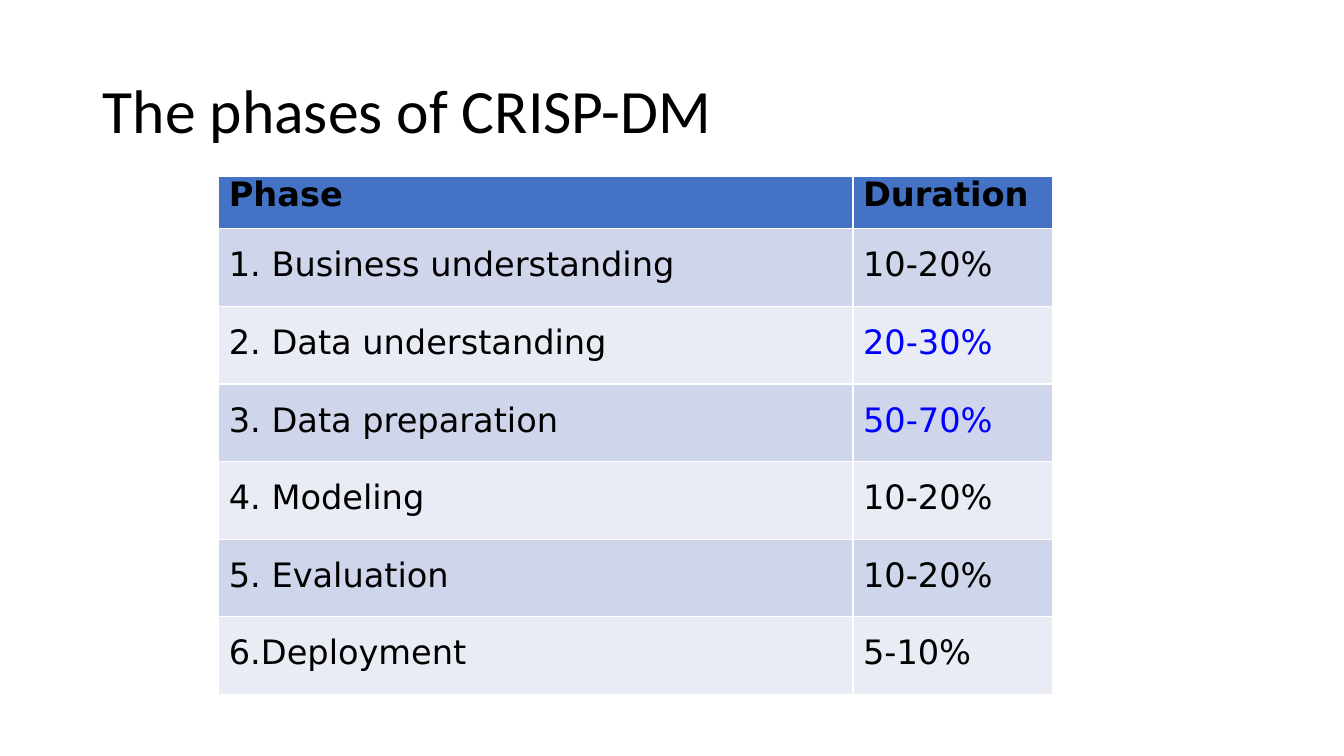
from lxml.etree import SubElement
from pptx import Presentation
from pptx.dml.color import RGBColor
from pptx.enum.text import MSO_ANCHOR, PP_ALIGN
from pptx.oxml.ns import qn
from pptx.util import Pt

PX = 9144  # 100 px to the inch
BLACK = RGBColor(0x00, 0x00, 0x00)
BLUE = RGBColor(0x00, 0x00, 0xFF)
HEADER_FILL = RGBColor(0x44, 0x72, 0xC4)
BAND_FILLS = [RGBColor(0xE9, 0xEB, 0xF5), RGBColor(0xCF, 0xD5, 0xEA)]

PHASES = [
    ("Phase", "Duration"),
    ("1. Business understanding", "10-20%"),
    ("2. Data understanding", "20-30%"),
    ("3. Data preparation", "50-70%"),
    ("4. Modeling", "10-20%"),
    ("5. Evaluation", "10-20%"),
    ("6.Deployment", "5-10%"),
]
LONGEST = {"20-30%", "50-70%"}
COLUMN_WIDTHS = [629, 198]
HEADER_HEIGHT, ROW_HEIGHT = 52, 77


def add_span(para, text, font, size, color, bold=False):
    span = para.add_run()
    span.text = text
    span.font.name = font
    span.font.size = Pt(size)
    span.font.bold = bold
    span.font.color.rgb = color


deck = Presentation()
deck.slide_width, deck.slide_height = 1333 * PX, 750 * PX
page = deck.slides.add_slide(deck.slide_layouts[5])

title = page.shapes.title
title.left, title.top, title.width, title.height = 92 * PX, 40 * PX, 1150 * PX, 145 * PX
title.text_frame.vertical_anchor = MSO_ANCHOR.MIDDLE
para = title.text_frame.paragraphs[0]
para.alignment = PP_ALIGN.LEFT
para.line_spacing = 0.9
add_span(para, "The phases of CRISP-DM", "Calibri", 44, BLACK)

table_height = HEADER_HEIGHT + ROW_HEIGHT * (len(PHASES) - 1)
table = page.shapes.add_table(
    len(PHASES), len(COLUMN_WIDTHS),
    217 * PX, 175 * PX, sum(COLUMN_WIDTHS) * PX, table_height * PX,
).table
for column, width in zip(table.columns, COLUMN_WIDTHS):
    column.width = width * PX

for r, texts in enumerate(PHASES):
    is_header = r == 0
    table.rows[r].height = (HEADER_HEIGHT if is_header else ROW_HEIGHT) * PX
    for c, text in enumerate(texts):
        cell = table.cell(r, c)
        cell.vertical_anchor = MSO_ANCHOR.TOP if is_header else MSO_ANCHOR.MIDDLE
        cell.fill.solid()
        cell.fill.fore_color.rgb = HEADER_FILL if is_header else BAND_FILLS[r % 2]
        para = cell.text_frame.paragraphs[0]
        para.line_spacing = 0.8
        # Space before as a share of the line height
        space_before = SubElement(para._p.get_or_add_pPr(), qn("a:spcBef"))
        SubElement(space_before, qn("a:spcPct"), val="20000")
        color = BLUE if text in LONGEST else BLACK
        add_span(para, text, "DejaVu Sans", 24, color, bold=is_header)

deck.save("out.pptx")
